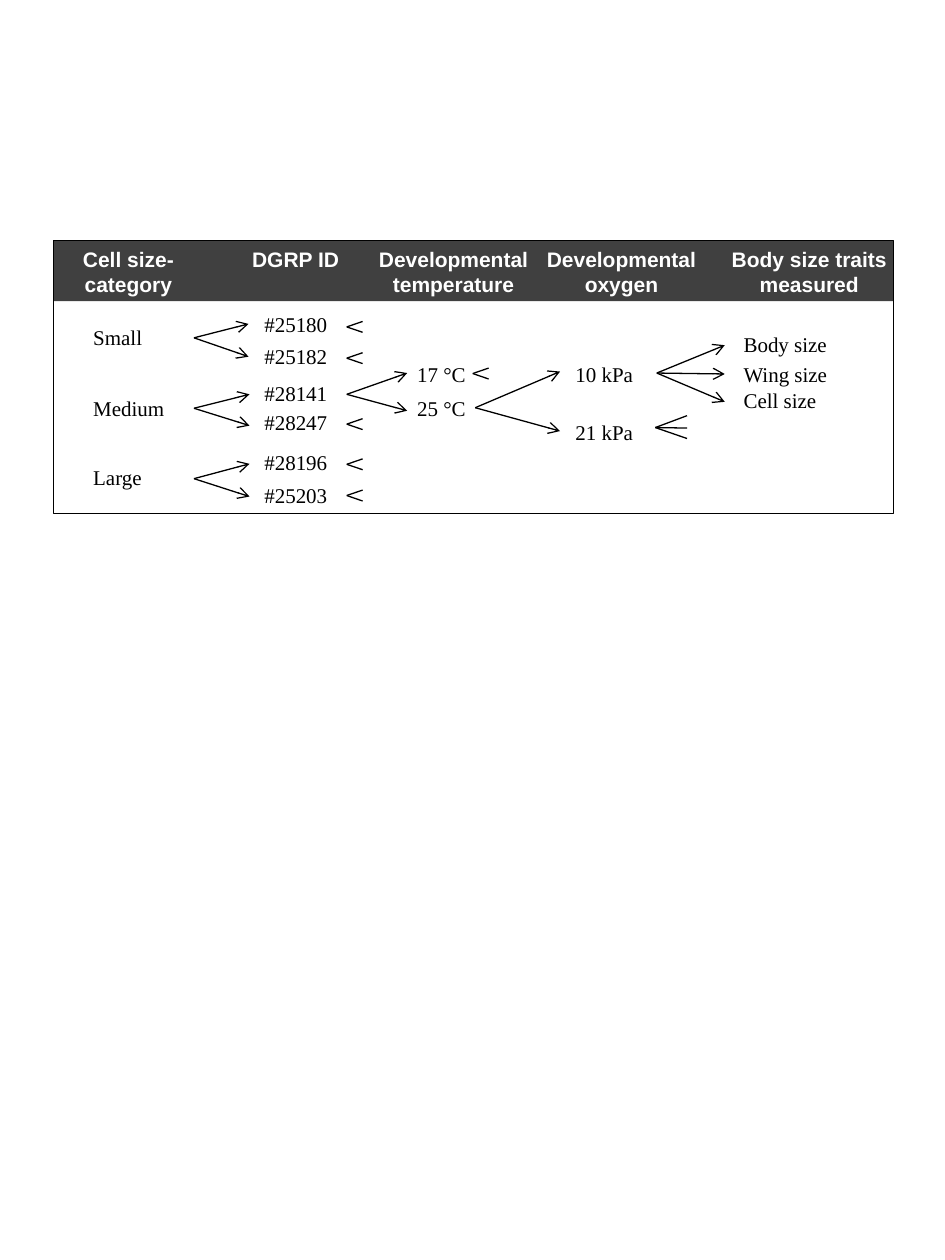
from collections import namedtuple

from lxml import etree
from pptx import Presentation
from pptx import util as u
from pptx.dml.color import RGBColor
from pptx.enum import shapes, text
from pptx.oxml import ns

BLACK = RGBColor(0x00, 0x00, 0x00)
WHITE = RGBColor(0xFF, 0xFF, 0xFF)
CHARCOAL = RGBColor(0x40, 0x40, 0x40)

Box = namedtuple("Box", "left top width height")  # centimetres
PANEL = Box(1.07, 4.85, 16.94, 5.51)
BAND_HEIGHT = 1.22
LABEL_HEIGHT = 0.76

# Left, width, height, heading
HEADINGS = [
    (-0.18, 3.4, 1.27, "Cell size-category"),
    (3.66, 2.46, LABEL_HEIGHT, "DGRP ID"),
    (6.27, 3.61, 1.27, "Developmental temperature"),
    (9.63, 3.66, 1.27, "Developmental oxygen"),
    (13.34, 3.81, 1.27, "Body size traits measured"),
]

# Left of each column, then top, width and label of each entry
COLUMNS = [
    (0.56, [(1.57, 1.7, "Small"), (3.0, 2.31, "Medium"), (4.39, 1.7, "Large")]),
    (4.01, [(1.3, 2.11, "#25180"), (1.96, 2.34, "#25182"),
            (2.69, 2.34, "#28141"), (3.28, 2.34, "#28247"),
            (4.09, 2.34, "#28196"), (4.75, 2.34, "#25203")]),
    (7.09, [(2.31, 1.57, "17 °C"), (3.0, 1.57, "25 °C")]),
    (10.28, [(2.31, 1.78, "10 kPa"), (3.48, 1.75, "21 kPa")]),
    (13.67, [(1.7, 2.54, "Body size"), (2.31, 2.57, "Wing size"),
             (2.84, 2.41, "Cell size")]),
]

# Start x, start y, end x, end heights
ARROW_FANS = [
    (2.84, 1.96, 3.94, (1.68, 2.34)),
    (2.84, 3.38, 3.96, (3.1, 3.73)),
    (2.84, 4.8, 3.96, (4.5, 5.16)),
    (5.92, 3.1, 7.14, (2.67, 3.43)),
    (8.51, 3.37, 10.22, (2.64, 3.84)),
    (12.17, 2.67, 13.54, (2.11, 2.69, 3.25)),
]
OXYGEN_STUB = (12.14, 3.77, 12.78, (3.53, 3.78, 3.99))

# Short unlabelled forks
STUB_STARTS = [(5.92, y) for y in (1.74, 2.37, 3.7, 4.51, 5.14)] + [(8.46, 2.68)]
STUB_LENGTH = 0.32
STUB_SPREAD = 0.11


def add_label(page, box, words, font_name, color, bold=False, align=None):
    label = page.shapes.add_textbox(*map(u.Cm, box))
    frame = label.text_frame
    frame.word_wrap = True
    para = frame.paragraphs[0]
    para.text = words
    para.alignment = align
    para.font.name = font_name
    para.font.size = u.Pt(12)
    para.font.bold = bold
    para.font.color.rgb = color


def add_fan(page, box, fan, arrows):
    """Draw lines spreading from one point to several heights."""
    start_x, start_y, end_x, end_heights = fan
    for end_y in end_heights:
        line = page.shapes.add_connector(
            shapes.MSO_CONNECTOR.STRAIGHT,
            u.Cm(box.left + start_x), u.Cm(box.top + start_y),
            u.Cm(box.left + end_x), u.Cm(box.top + end_y))
        line.line.color.rgb = BLACK
        line.line.width = u.Pt(0.75)
        if arrows:
            outline = line.line._get_or_add_ln()
            etree.SubElement(outline, ns.qn("a:tailEnd"), type="arrow")
        etree.SubElement(line._element.spPr, ns.qn("a:effectLst"))


def add_rectangle(page, box):
    rectangle = page.shapes.add_shape(
        shapes.MSO_SHAPE.RECTANGLE, *map(u.Cm, box))
    rectangle.shadow.inherit = False
    return rectangle


def add_header(page, box):
    band = add_rectangle(page, box)
    band.fill.solid()
    band.fill.fore_color.rgb = CHARCOAL
    band.line.fill.background()
    for left, width, height, heading in HEADINGS:
        add_label(page, Box(box.left + left, box.top, width, height), heading,
                  "Arial", WHITE, bold=True, align=text.PP_ALIGN.CENTER)


def add_design_tree(page, box):
    for left, entries in COLUMNS:
        for top, width, words in entries:
            place = Box(box.left + left, box.top + top, width, LABEL_HEIGHT)
            add_label(page, place, words, "Times New Roman", BLACK)
    for fan in ARROW_FANS:
        add_fan(page, box, fan, arrows=True)
    stubs = [(x, y, x + STUB_LENGTH, (y - STUB_SPREAD, y + STUB_SPREAD))
             for x, y in STUB_STARTS]
    for stub in [OXYGEN_STUB] + stubs:
        add_fan(page, box, stub, arrows=False)


def add_frame(page, box):
    frame = add_rectangle(page, box)
    frame.fill.background()
    frame.line.color.rgb = BLACK
    frame.line.width = u.Pt(0.5)


def main():
    deck = Presentation()
    deck.slide_width, deck.slide_height = u.Cm(19.05), u.Cm(25.4)
    page = deck.slides.add_slide(deck.slide_layouts[6])
    add_header(page, PANEL._replace(height=BAND_HEIGHT))
    add_design_tree(page, PANEL)
    add_frame(page, PANEL)
    deck.save("out.pptx")


if __name__ == "__main__":
    main()
